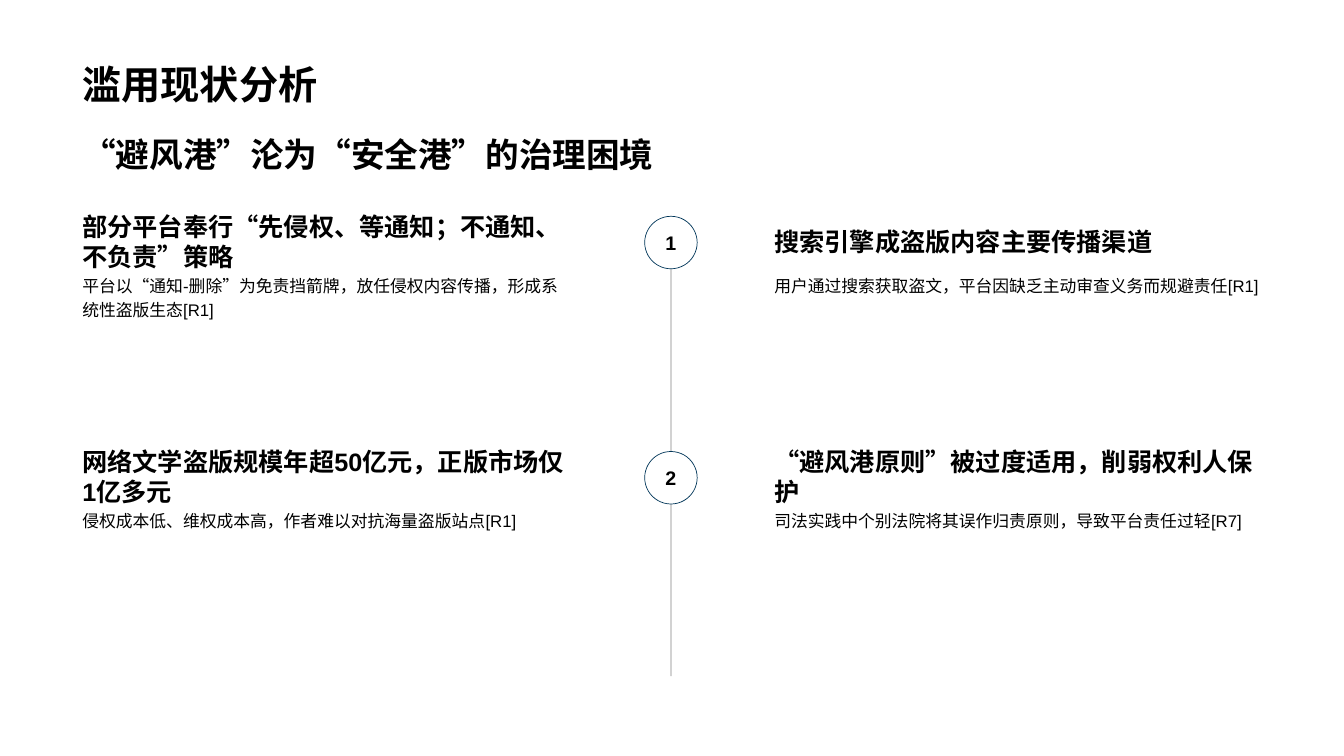
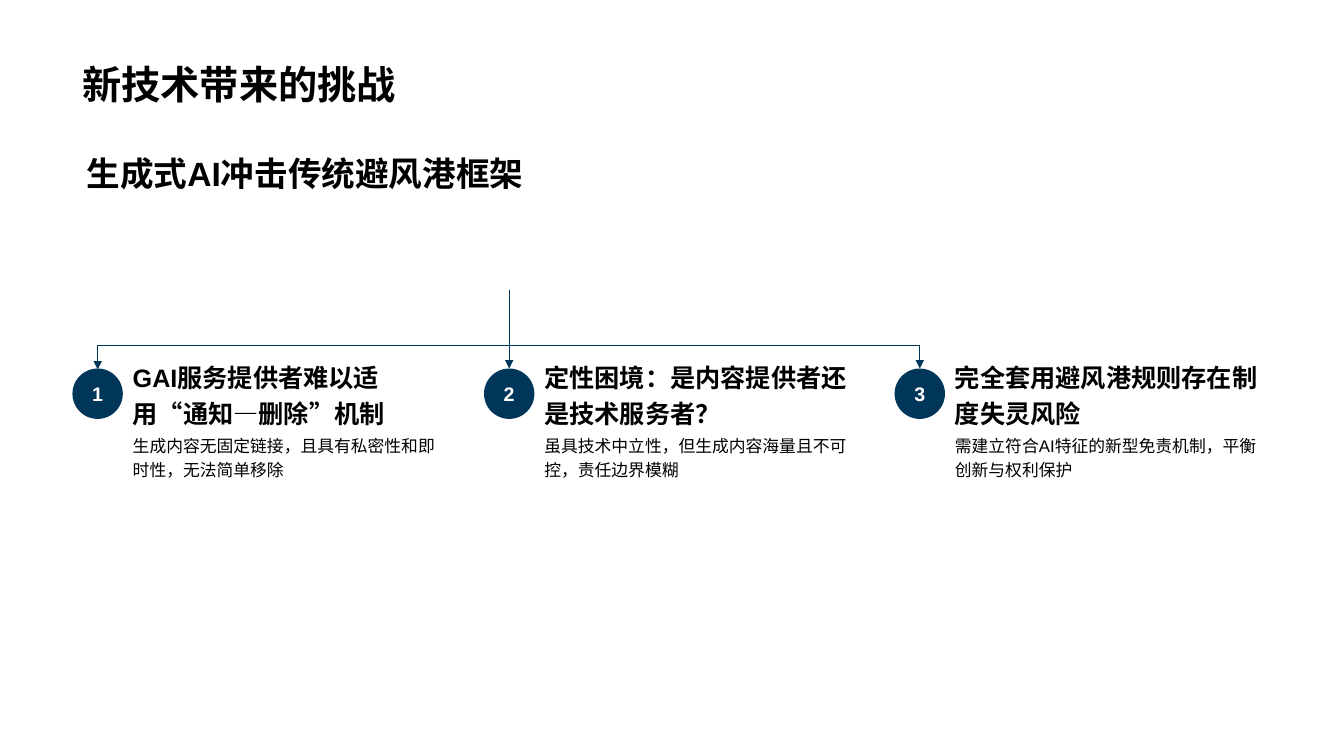
from lxml import etree
from pptx import Presentation
from pptx.dml.color import RGBColor
from pptx.enum.lang import MSO_LANGUAGE_ID
from pptx.enum.shapes import MSO_CONNECTOR, MSO_SHAPE
from pptx.enum.text import MSO_ANCHOR, MSO_AUTO_SIZE, PP_ALIGN
from pptx.oxml.ns import qn
from pptx.util import Pt

SCALE = 9525
COLORS = {"ink": "000000", "paper": "FFFFFF", "navy": "003659"}
TITLE_ONLY = 5
CHINESE = MSO_LANGUAGE_ID.SIMPLIFIED_CHINESE
OVAL, ROUNDED = MSO_SHAPE.OVAL, MSO_SHAPE.ROUNDED_RECTANGLE
STRAIGHT, ELBOW = MSO_CONNECTOR.STRAIGHT, MSO_CONNECTOR.ELBOW
TOP, MIDDLE, BOTTOM = MSO_ANCHOR.TOP, MSO_ANCHOR.MIDDLE, MSO_ANCHOR.BOTTOM
LEFT, CENTER = PP_ALIGN.LEFT, PP_ALIGN.CENTER
NO_FIT = MSO_AUTO_SIZE.NONE

FORMATS = {
    "title": {"size": Pt(28), "bold": True},
    "subtitle": {"size": Pt(24), "bold": True},
    "heading": {"size": Pt(18), "bold": True},
    "body": {"size": Pt(12), "bold": False},
    "number": {"size": Pt(14), "bold": True},
}
MARGIN, CONTENT_WIDTH = 69, 1140


def px(*lengths):
    return [round(length * SCALE) for length in lengths]


def color(name):
    return RGBColor.from_string(COLORS[name])


def write(shape, text, style, anchor=MIDDLE, align=LEFT, spacing=1.0, ink="ink", wrap=True):
    frame = shape.text_frame
    frame_format = {"auto_size": NO_FIT, "word_wrap": wrap, "vertical_anchor": anchor}
    for name, value in frame_format.items():
        setattr(frame, name, value)
    para = frame.paragraphs[0]
    para.alignment = align
    para.line_spacing = spacing
    span = para.add_run()
    span.text = text
    font_format = {"name": "Arial", "language_id": CHINESE, **FORMATS[style]}
    for name, value in font_format.items():
        setattr(span.font, name, value)
    span.font.color.rgb = color(ink)


def add_text(page, box, text, style, **options):
    write(page.shapes.add_textbox(*px(*box)), text, style, **options)


def add_page(deck, title):
    page = deck.slides.add_slide(deck.slide_layouts[TITLE_ONLY])
    holder = page.shapes.title
    box = px(MARGIN, 13, CONTENT_WIDTH, 94)
    for name, value in zip(("left", "top", "width", "height"), box):
        setattr(holder, name, value)
    write(holder, title, "title", anchor=BOTTOM)
    return page


def add_badge(page, box, number, fill, ink, outline=None):
    badge = page.shapes.add_shape(OVAL, *px(*box))
    badge.shadow.inherit = False
    badge.fill.solid()
    badge.fill.fore_color.rgb = color(fill)
    if outline:
        badge.line.color.rgb = color(outline)
        badge.line.width = Pt(0.5)
    else:
        badge.line.fill.background()
    write(badge, str(number), "number", align=CENTER, ink=ink, wrap=False)
    return badge


def add_line(page, kind, ends, ink, arrows=()):
    line = page.shapes.add_connector(kind, *px(*ends))
    line.line.color.rgb = color(ink)
    line.line.width = Pt(0.5)
    for arrow in arrows:
        etree.SubElement(line.line._ln, qn(f"a:{arrow}"), type="triangle")
    etree.SubElement(line._element.spPr, qn("a:effectLst"))
    return line


def add_bracket(page, left, right, base, rise):
    span = right - left
    x, y = (left + right) // 2, base - span // 2
    bracket = add_line(page, ELBOW, (x, y, x + 1, y + span), "navy", ("headEnd", "tailEnd"))
    properties = bracket._element.spPr
    for name, value in {"rot": "5400000", "flipH": "1", "flipV": "1"}.items():
        properties.find(qn("a:xfrm")).set(name, value)
    guides = properties.find(qn("a:prstGeom")).get_or_add_avLst()
    etree.SubElement(guides, qn("a:gd"), name="adj1", fmla=f"val {rise * 100000}")


def add_card(page, box, heading, body, heading_height, gap, spacing):
    left, top, width, height = box
    add_text(page, (left, top, width, heading_height), heading, "heading", spacing=spacing)
    used = heading_height + gap
    add_text(page, (left, top + used, width, height - used), body, "body",
             anchor=TOP, spacing=1.2)


def add_timeline(page, box, rows):
    left, top, width, height = box
    badge_size, card_width, pitch = 50, 481, 224
    center = left + width // 2
    axis = add_line(page, STRAIGHT, (center, top + 1, center, top + height), "ink")
    shade = axis.line._ln.find(".//" + qn("a:srgbClr"))
    etree.SubElement(shade, qn("a:alpha"), val="50000")
    for index, cards in enumerate(rows):
        y = top + index * pitch
        add_badge(page, (center - badge_size // 2, y, badge_size, badge_size),
                  index + 1, "paper", "ink", "navy")
        for x, (heading, body) in zip((left, left + width - card_width), cards):
            add_card(page, (x, y, card_width, height - pitch), heading, body, 48, 0, 1.0)


def add_branches(page, box, cards):
    left, top, width, height = box
    badge_size, card_width, stem, rise = 48, 309, 75, 23
    column = badge_size + card_width
    pitch = (width - column) / (len(cards) - 1)
    badges = []
    for index, (heading, body) in enumerate(cards):
        x = left + round(index * pitch)
        add_card(page, (x + badge_size, top, card_width, height), heading, body, 46, 9, 1.2)
        badges.append(add_badge(page, (x, top, badge_size, badge_size),
                                index + 1, "navy", "paper"))
    first = left + badge_size // 2
    last = first + round(width - column)
    middle = first + round(pitch)
    add_bracket(page, first, last, top, rise)
    trunk = add_line(page, STRAIGHT, (middle, top - stem, middle, top), "navy", ("tailEnd",))
    trunk.end_connect(badges[1], 0)


def build_status(deck):
    page = add_page(deck, "滥用现状分析")
    add_timeline(page, (MARGIN, 206, CONTENT_WIDTH, 438), [
        [("部分平台奉行“先侵权、等通知；不通知、不负责”策略",
          "平台以“通知-删除”为免责挡箭牌，放任侵权内容传播，形成系统性盗版生态[R1]"),
         ("搜索引擎成盗版内容主要传播渠道",
          "用户通过搜索获取盗文，平台因缺乏主动审查义务而规避责任[R1]")],
        [("网络文学盗版规模年超50亿元，正版市场仅1亿多元",
          "侵权成本低、维权成本高，作者难以对抗海量盗版站点[R1]"),
         ("“避风港原则”被过度适用，削弱权利人保护",
          "司法实践中个别法院将其误作归责原则，导致平台责任过轻[R7]")],
    ])
    add_text(page, (MARGIN, 119, CONTENT_WIDTH, 56),
             "“避风港”沦为“安全港”的治理困境", "subtitle")


def build_challenges(deck):
    page = add_page(deck, "新技术带来的挑战")
    banner = page.shapes.add_shape(ROUNDED, *px(MARGIN, 120, CONTENT_WIDTH, 89))
    banner.adjustments[0] = 0.15
    banner.shadow.inherit = False
    banner.fill.background()
    banner.line.fill.background()
    write(banner, "生成式AI冲击传统避风港框架", "subtitle")
    add_branches(page, (MARGIN, 351, CONTENT_WIDTH, 293), [
        ("GAI服务提供者难以适用“通知—删除”机制",
         "生成内容无固定链接，且具有私密性和即时性，无法简单移除"),
        ("定性困境：是内容提供者还是技术服务者？",
         "虽具技术中立性，但生成内容海量且不可控，责任边界模糊"),
        ("完全套用避风港规则存在制度失灵风险",
         "需建立符合AI特征的新型免责机制，平衡创新与权利保护"),
    ])


def main():
    deck = Presentation()
    deck.slide_width, deck.slide_height = px(1280, 720)
    build_status(deck)
    build_challenges(deck)
    deck.save("out.pptx")


if __name__ == "__main__":
    main()
